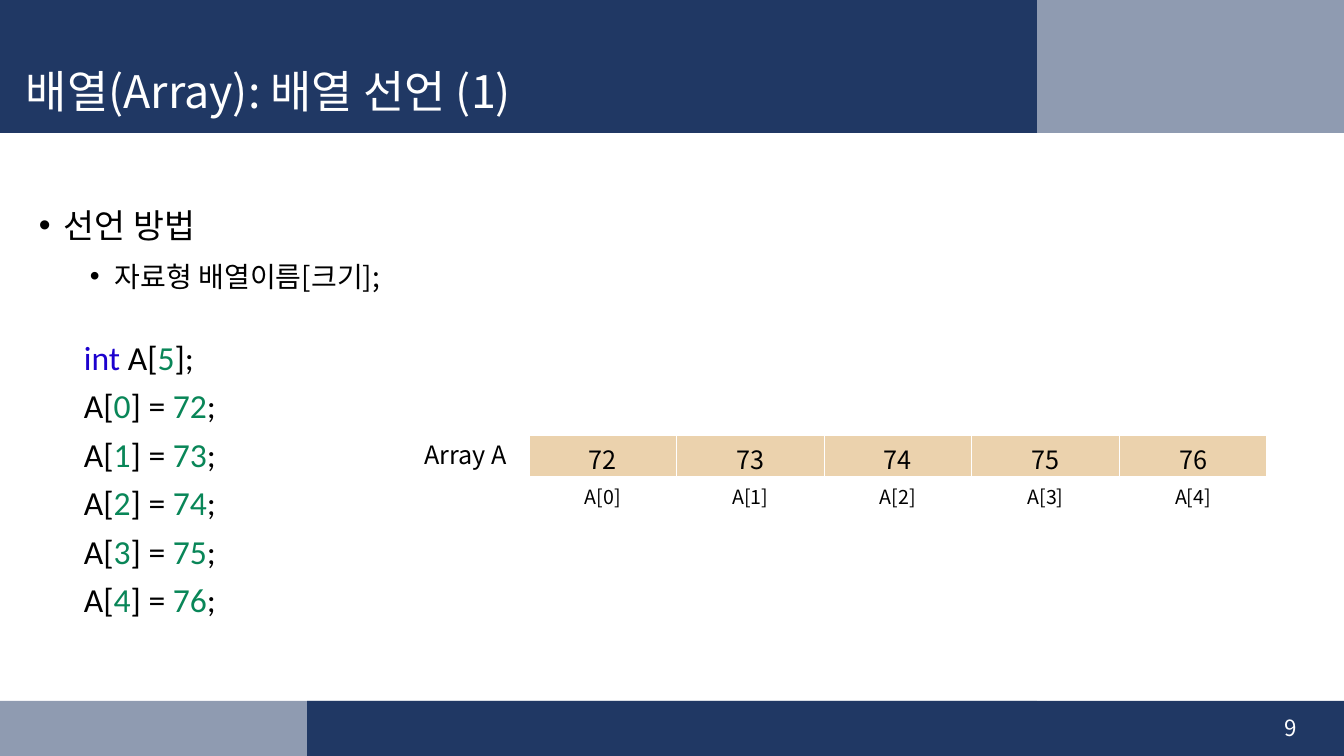
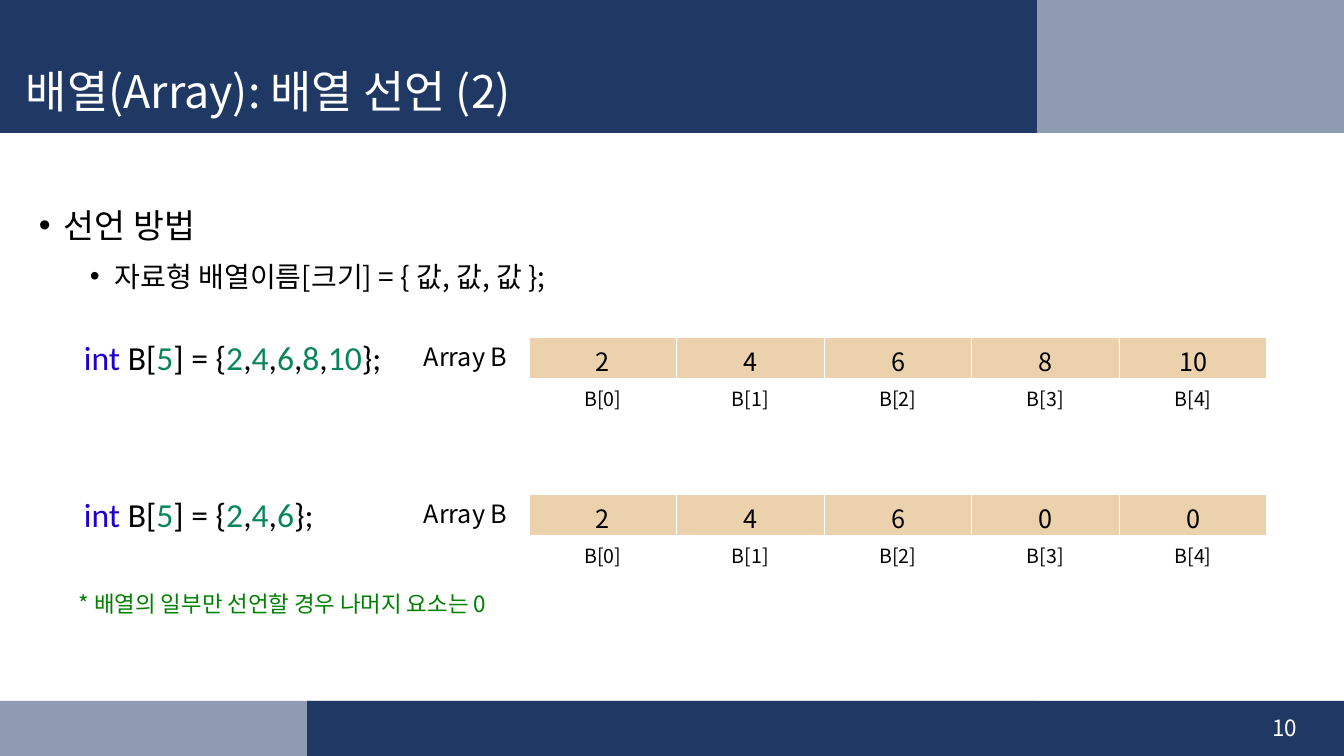
import itertools
import pptx
import pptx.util
import pptx.dml.color
import pptx.enum.shapes
import pptx.enum.text
import pptx.oxml.ns
from lxml import etree

SLIDES = [
    {
        "title": "배열(Array): 배열 선언 (1) ",
        "page": 9,
        "points": ["선언 방법", "자료형 배열이름[크기];"],
        "code": [(324, ["int A[5];", "A[0] = 72;", "A[1] = 73;", "A[2] = 74;",
                        "A[3] = 75;", "A[4] = 76;"])],
        "arrays": [(435, "A", [72, 73, 74, 75, 76])],
        "note": None,
    },
    {
        "title": "배열(Array): 배열 선언 (2) ",
        "page": 10,
        "points": ["선언 방법", "자료형 배열이름[크기] = { 값, 값, 값 };"],
        "code": [(324, ["int B[5] = {2,4,6,8,10};"]), (481, ["int B[5] = {2,4,6};"])],
        "arrays": [(337, "B", [2, 4, 6, 8, 10]), (494, "B", [2, 4, 6, 0, 0])],
        "note": "* 배열의 일부만 선언할 경우 나머지 요소는 0 ",
    },
]

THEME = {
    "navy": "203864", "white": "FFFFFF", "black": "000000", "sand": "EBD2AD",
    "key": "1C01CE", "digit": "098658", "note": "008000",
    "sans": "Noto Sans CJK KR", "mono": "Calibri",
    "sizes": {"title": 32, "head": 24, "sub": 20, "cell": 18, "page": 16, "index": 14},
}
SIZES = THEME["sizes"]
WIDE, HIGH = 1344, 756
SPLIT, TOP, FOOT, STEP = 1037, 133, 701, 307
BANDS = [
    (STEP, FOOT, WIDE - STEP, HIGH - FOOT, 100),
    (0, FOOT, SPLIT, HIGH - FOOT, 50),
    (0, 0, SPLIT, TOP, 100),
    (SPLIT, 0, WIDE - SPLIT, TOP, 50),
]
GRID = {"left": 529, "width": 738, "cell": 42, "index": 35}
LEVELS = [
    {"size": "head", "left": 25, "level": 0, "before": 10},
    {"size": "sub", "left": 76, "level": 1, "before": 5},
]
ALIGN = pptx.enum.text.PP_ALIGN
MIDDLE = pptx.enum.text.MSO_ANCHOR.MIDDLE
qn = pptx.oxml.ns.qn


def px(size):
    return pptx.util.Emu(round(size * 12192000 / WIDE))


def box(*sides):
    return [px(side) for side in sides]


def rgb(name):
    return pptx.dml.color.RGBColor.from_string(THEME[name])


def apply(item, **values):
    for name, value in values.items():
        setattr(item, name, value)


def child(node, tag, **values):
    return etree.SubElement(node, qn(tag), values)


def paint(item, color):
    item.fill.solid()
    item.fill.fore_color.rgb = rgb(color)


def write(para, text, size, color="black", face="sans"):
    run = para.add_run()
    run.text = text
    run.font.color.rgb = rgb(color)
    apply(run.font, size=pptx.util.Pt(SIZES[size]), name=THEME[face])
    child(run.font._element, "a:ea", typeface=THEME[face])


def frame(slide, place, **values):
    area = slide.shapes.add_textbox(*box(*place)).text_frame
    apply(area, word_wrap=True, **values)
    return area


def line(slide, place, text, size, color="black", anchor=MIDDLE, **values):
    para = frame(slide, place, vertical_anchor=anchor).paragraphs[0]
    apply(para, **values)
    write(para, text, size, color)


def rows(area, count):
    return [area.paragraphs[0]] + [area.add_paragraph() for _ in range(count - 1)]


def band(slide, left, top, width, height, alpha):
    kind = pptx.enum.shapes.MSO_SHAPE.RECTANGLE
    shape = slide.shapes.add_shape(kind, *box(left, top, width, height))
    shape.shadow.inherit = False
    shape.line.fill.background()
    paint(shape, "navy")
    if alpha < 100:
        tint = shape._element.spPr.find(".//" + qn("a:srgbClr"))
        child(tint, "a:alpha", val=str(alpha * 1000))


def points(slide, texts):
    area = frame(slide, (29, 192, 1270, 465))
    for para, text, rule in zip(rows(area, len(texts)), texts, LEVELS):
        apply(para, level=rule["level"], line_spacing=1.2,
              space_before=pptx.util.Pt(rule["before"]))
        props = para._p.get_or_add_pPr()
        props.set("marL", str(px(rule["left"])))
        props.set("indent", str(px(-25)))
        child(props, "a:buFont", typeface="Arial")
        child(props, "a:buChar", char="•")
        write(para, text, rule["size"])


def kind(char):
    return "digit" if char.isdigit() else "key" if char.islower() else "black"


def code(slide, top, lines):
    area = frame(slide, (74, top, 503, 10 + 48 * len(lines)))
    for para, text in zip(rows(area, len(lines)), lines):
        para.line_spacing = 1.2
        for color, chars in itertools.groupby(text, kind):
            write(para, "".join(chars), "head", color, "mono")


def strip(slide, top, texts, size, fill):
    place = box(GRID["left"], top, GRID["width"], GRID[size])
    table = slide.shapes.add_table(1, len(texts), *place).table
    apply(table, first_row=False, horz_banding=False)
    for cell, text in zip(table.iter_cells(), texts):
        props = cell._tc.get_or_add_tcPr()
        for side in ("L", "R", "T", "B"):
            edge = child(props, "a:ln" + side, w=str(pptx.util.Pt(1)))
            child(child(edge, "a:solidFill"), "a:srgbClr", val=THEME["white"])
        paint(cell, fill)
        cell.vertical_anchor = MIDDLE
        para = cell.text_frame.paragraphs[0]
        para.alignment = ALIGN.CENTER
        write(para, text, size)


def array(slide, top, name, values):
    strip(slide, top, [str(value) for value in values], "cell", "sand")
    line(slide, (410, top - 1, 117, 40), f"Array {name} ", "cell", alignment=ALIGN.CENTER)
    marks = [f"{name}[{spot}]" for spot in range(len(values))]
    strip(slide, top + GRID["cell"], marks, "index", "white")


def build(deck, data):
    slide = deck.slides.add_slide(deck.slide_layouts[6])
    for item in BANDS:
        band(slide, *item)
    line(slide, (1005, 708, 302, 40), str(data["page"]), "page", "white",
         alignment=ALIGN.RIGHT)
    points(slide, data["points"])
    line(slide, (16, 57, 1021, 75), data["title"], "title", "white", line_spacing=0.9)
    for item in data["code"]:
        code(slide, *item)
    for item in data["arrays"]:
        array(slide, *item)
    if data["note"]:
        line(slide, (69, 585, 857, 37), data["note"], "page", "note",
             pptx.enum.text.MSO_ANCHOR.TOP)


deck = pptx.Presentation()
apply(deck, slide_width=px(WIDE), slide_height=px(HIGH))
for data in SLIDES:
    build(deck, data)
deck.save("out.pptx")
